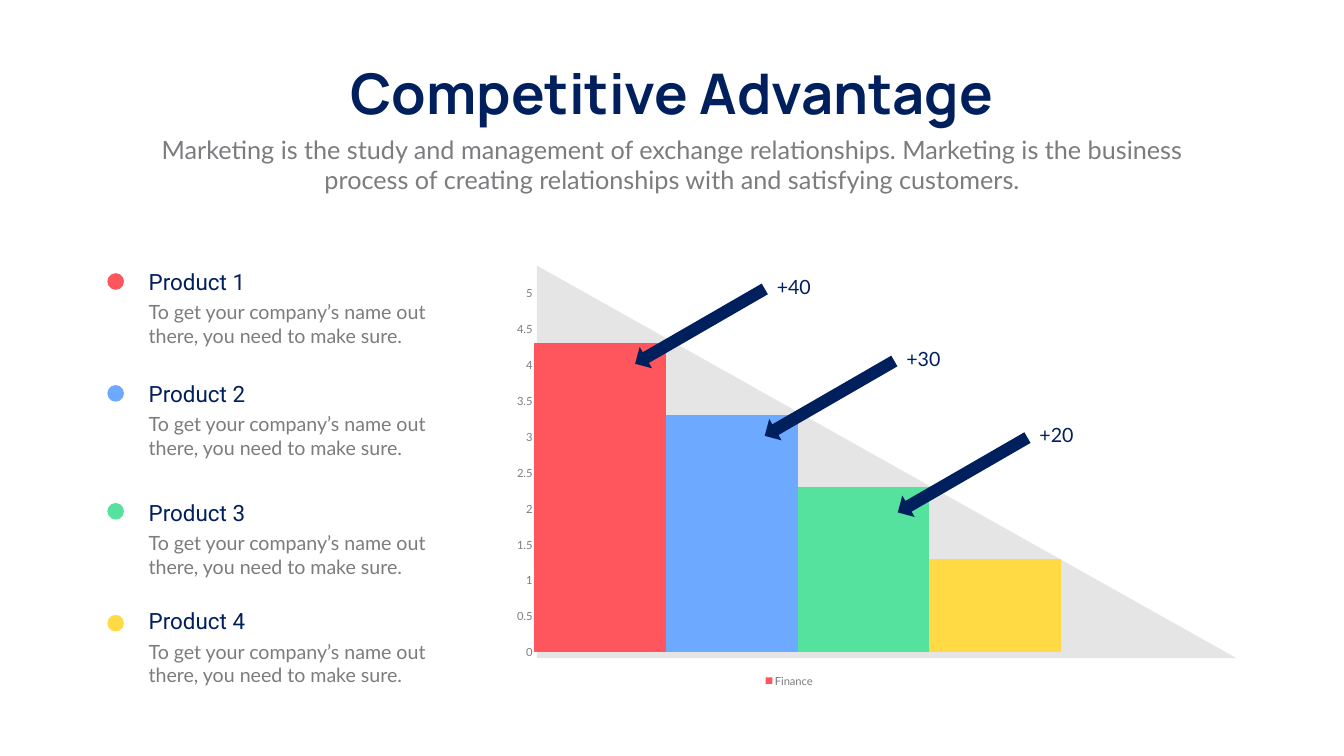
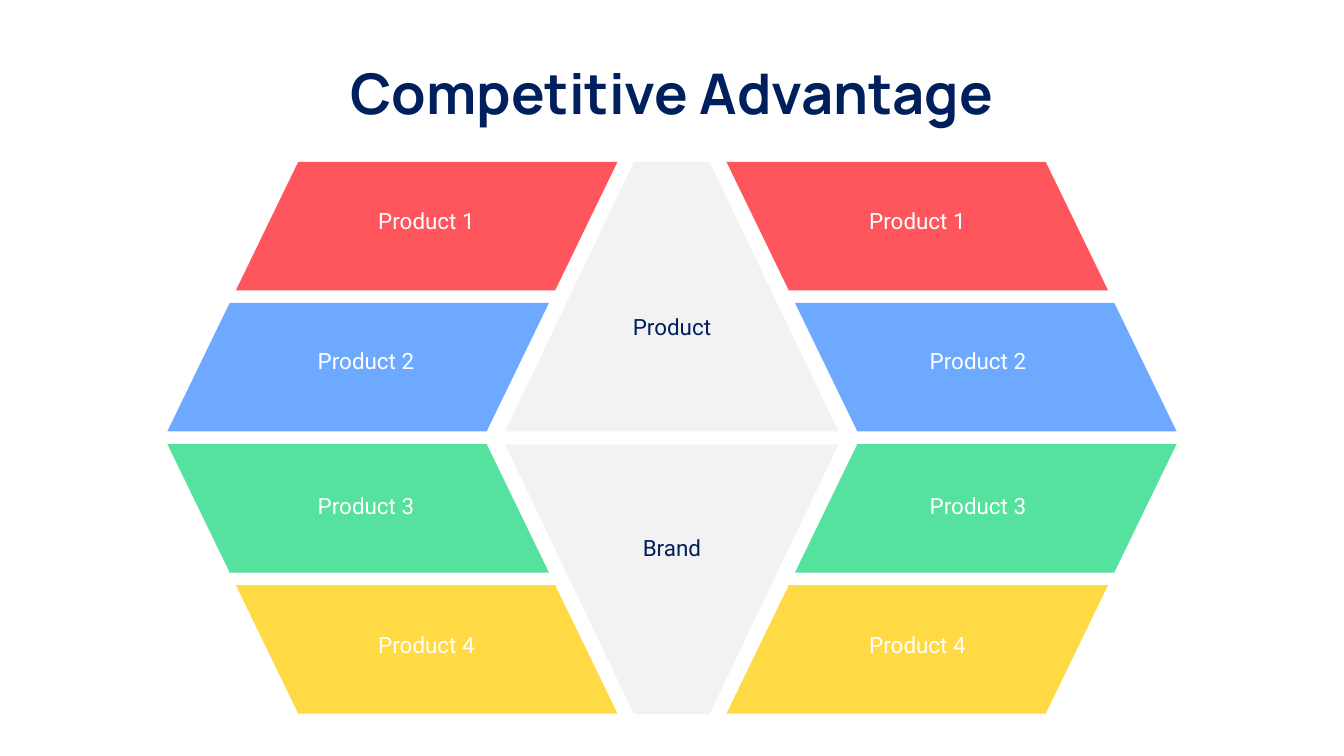
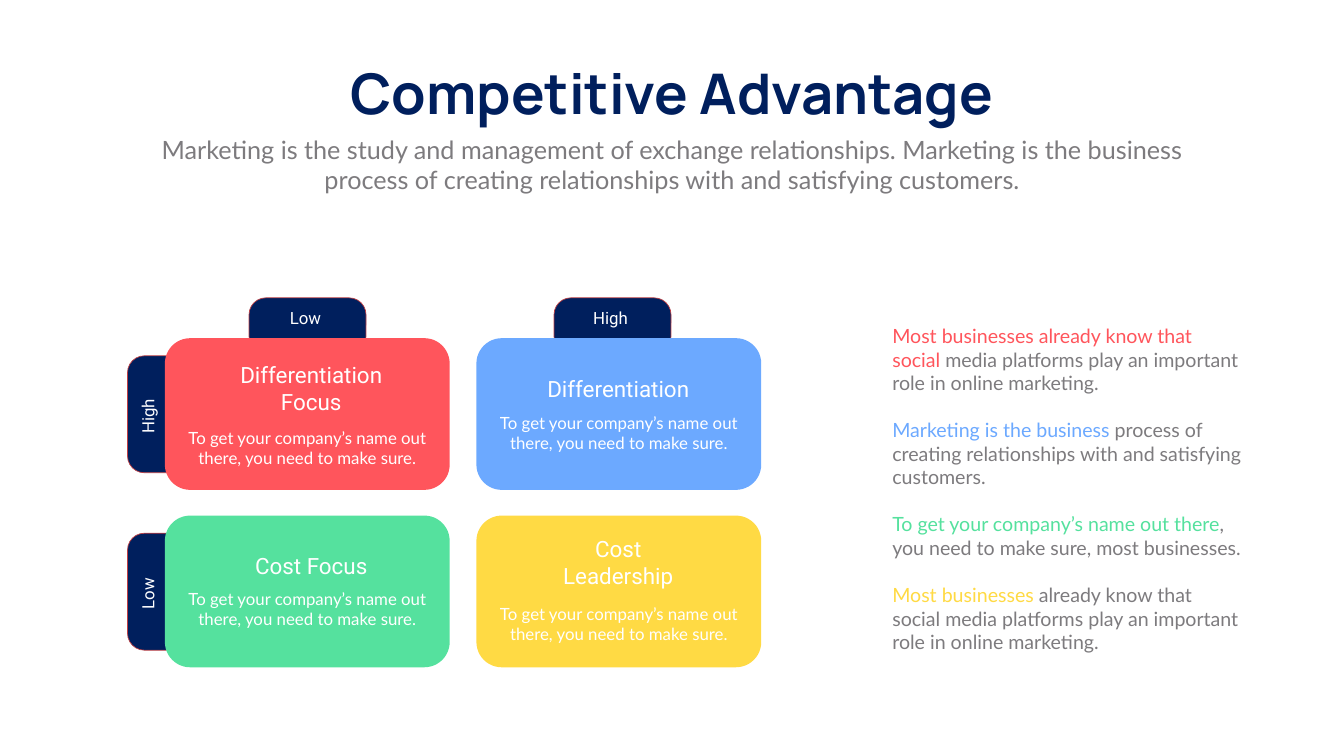
from lxml.etree import SubElement
from pptx import Presentation
from pptx.chart.data import CategoryChartData
from pptx.dml.color import RGBColor
from pptx.enum.chart import XL_CHART_TYPE, XL_LEGEND_POSITION, XL_TICK_MARK
from pptx.enum.shapes import MSO_SHAPE
from pptx.enum.text import MSO_ANCHOR, MSO_AUTO_SIZE, PP_ALIGN
from pptx.oxml import parse_xml
from pptx.oxml.ns import nsdecls, qn
from pptx.util import Inches, Pt

WIDTH, HEIGHT = 26.66, 15
COLORS = {
    "navy": "001F5D", "gray": "7D7B7E", "white": "FFFFFF",
    "red": "FF555C", "blue": "6CA9FF", "green": "55E19E", "yellow": "FFDA44",
    "wedge": "E5E5E5", "panel": "F2F2F2", "outline": "BD3F44",
}
PRODUCT_COLORS = ["red", "blue", "green", "yellow"]
TITLE = "Competitive Advantage"
SUBTITLE = ("Marketing is the study and management of exchange relationships. "
            "Marketing is the business process of creating relationships with "
            "and satisfying customers.")
PITCH = "To get your company’s name out there, you need to make sure."


def color(name):
    return RGBColor.from_string(COLORS[name])


class Deck:
    """Holds the shared style and the slide being built."""

    def __init__(self):
        self.presentation = Presentation()
        self.presentation.slide_width = Inches(WIDTH)
        self.presentation.slide_height = Inches(HEIGHT)
        self.page = None

    def add_page(self, layout=5, subtitle=True):
        layouts = self.presentation.slide_layouts
        self.page = self.presentation.slides.add_slide(layouts[layout])
        title = self.place(self.page.shapes.title, 6.28, 1.12, 14.1, 1.45)
        title.text_frame.word_wrap = False
        self.add_spans(title, [[(TITLE, "navy")]], 80, "Manrope", True, bold=True)
        if subtitle:
            self.text(SUBTITLE, 2.92, 2.61, 20.82, 1.31, 36, "Lato", "gray", True)

    def place(self, box, left, top, width, height):
        box.left, box.top = Inches(left), Inches(top)
        box.width, box.height = Inches(width), Inches(height)
        box.text_frame.word_wrap = True
        return box

    def add_spans(self, box, paragraphs, size, font, centered=False, bold=False, gap=0):
        frame = box.text_frame
        frame.auto_size = MSO_AUTO_SIZE.NONE
        frame.vertical_anchor = MSO_ANCHOR.TOP
        for index, spans in enumerate(paragraphs):
            para = frame.add_paragraph() if index else frame.paragraphs[0]
            para.alignment = PP_ALIGN.CENTER if centered else PP_ALIGN.LEFT
            para.space_before = Pt(gap if index else 0)
            for words, shade in spans:
                span = para.add_run()
                span.text = words
                span.font.size, span.font.name = Pt(size), font
                span.font.bold = bold
                span.font.color.rgb = color(shade)

    def text(self, words, left, top, width, height, size, font, shade,
             centered=False, rotation=0):
        box = self.page.shapes.add_textbox(0, 0, 0, 0)
        self.place(box, left, top, width, height)
        box.rotation = rotation
        self.add_spans(box, [[(words, shade)]], size, font, centered)

    def body_list(self, paragraphs, left, top, width, height, size, gap):
        box = self.place(self.page.placeholders[1], left, top, width, height)
        self.add_spans(box, paragraphs, size, "Lato", gap=gap)
        for para in box.text_frame.paragraphs:
            properties = para._p.get_or_add_pPr()
            properties.set("marL", "0")
            properties.set("indent", "0")
            SubElement(properties, qn("a:buNone"))

    def paint(self, shape, fill, outline=None):
        shape.shadow.inherit = False
        shape.fill.solid()
        shape.fill.fore_color.rgb = color(fill)
        if outline:
            shape.line.color.rgb = color(outline)
            shape.line.width = Pt(1)
        else:
            shape.line.fill.background()

    def shape(self, kind, left, top, width, height, fill, outline=None,
              adjust=None, rotation=0, flip=None):
        shape = self.page.shapes.add_shape(
            kind, Inches(left), Inches(top), Inches(width), Inches(height))
        self.paint(shape, fill, outline)
        shape.rotation = rotation
        if adjust is not None:
            shape.adjustments[0] = adjust
        if flip:
            shape.element.spPr.find(qn("a:xfrm")).set(flip, "1")

    def outline_shape(self, points, fill):
        corners = [(Inches(x), Inches(y)) for x, y in points]
        builder = self.page.shapes.build_freeform(*corners[0])
        builder.add_line_segments(corners[1:], close=True)
        self.paint(builder.convert_to_shape(), fill)

    def column_chart(self, name, values, left, top, width, height, plot):
        data = CategoryChartData()
        data.categories = [str(n) for n in range(1, len(values) + 1)]
        data.add_series(name, values)
        chart = self.page.shapes.add_chart(
            XL_CHART_TYPE.COLUMN_STACKED, Inches(left), Inches(top),
            Inches(width), Inches(height), data).chart
        chart.font.size, chart.font.name = Pt(16), "Lato"
        chart.font.color.rgb = color("gray")
        chart.has_title = False
        chart.has_legend = True
        chart.legend.position = XL_LEGEND_POSITION.BOTTOM
        chart.legend.include_in_layout = False
        # Axes
        chart.category_axis.visible = False
        axis = chart.value_axis
        axis.has_major_gridlines = False
        axis.major_tick_mark = axis.minor_tick_mark = XL_TICK_MARK.NONE
        axis.minimum_scale, axis.maximum_scale, axis.major_unit = 0, 5, 0.5
        axis.format.line.fill.background()
        # Columns
        columns = chart.plots[0]
        columns.gap_width, columns.overlap = 0, 100
        columns.vary_by_categories = False
        series = columns.series[0]
        for index, shade in enumerate(PRODUCT_COLORS):
            fill = series.points[index].format.fill
            fill.solid()
            fill.fore_color.rgb = color(shade)
        series.format.fill.solid()
        series.format.fill.fore_color.rgb = color(PRODUCT_COLORS[0])
        # Inner plot area as fractions of the chart
        area = chart.element.find(".//" + qn("c:plotArea"))
        for old in area.findall(qn("c:layout")):
            area.remove(old)
        sizes = "".join(f'<c:{tag} val="{part}"/>' for tag, part in zip("xywh", plot))
        area.insert(0, parse_xml(
            f'<c:layout {nsdecls("c")}><c:manualLayout><c:layoutTarget val="inner"/>'
            f'<c:xMode val="edge"/><c:yMode val="edge"/>{sizes}'
            '</c:manualLayout></c:layout>'))


def build_chart_page(deck):
    deck.add_page()
    deck.outline_shape([(10.65, 13.06), (10.65, 5.27), (24.53, 13.06)], "wedge")
    deck.column_chart("Finance", [4.3, 3.3, 2.3, 1.3], 10.04, 5.49, 11.23, 8.19,
                      (0.05, 0.04, 0.93, 0.87))
    # Product legend
    rows = zip(PRODUCT_COLORS, [5.27, 7.49, 9.85, 12], [5.42, 7.64, 9.98, 12.2])
    for number, (shade, top, dot_top) in enumerate(rows, 1):
        deck.text(f"Product {number}", 2.85, top, 4.99, 0.64, 32, "Roboto", "navy")
        deck.text(PITCH, 2.85, top + 0.64, 6.24, 1.04, 28, "Lato", "gray")
        deck.shape(MSO_SHAPE.OVAL, 2.13, dot_top, 0.33, 0.33, shade)
    # Gain arrows
    for gain, left, top in [("+40", 12.4, 6.23), ("+30", 14.97, 7.66),
                            ("+20", 17.61, 9.18)]:
        deck.shape(MSO_SHAPE.RIGHT_ARROW, left, top, 2.97, 0.49, "navy",
                   rotation=330, flip="flipH")
        deck.text(gain, left + 2.91, top - 0.83, 1.2, 0.57, 28, "Lato", "navy")


def build_hexagon_page(deck):
    deck.add_page(subtitle=False)
    first_top, pitch = 3.21, 2.8
    band_width, label_width = 7.57, 3.84
    # Center panels
    for name, top, label_top, flip in [("Product", first_top, 6.17, None),
                                       ("Brand", 8.82, 10.54, "flipV")]:
        deck.shape(MSO_SHAPE.TRAPEZOID, 10.02, top, 6.61, 5.35, "panel",
                   adjust=0.478, flip=flip)
        deck.text(name, 11.41, label_top, label_width, 0.83, 32, "Roboto", "navy", True)
    # Product bands, mirrored left to right
    rows = zip(PRODUCT_COLORS, [4.68, 3.32, 3.32, 4.68],
               [6.54, 5.34, 5.34, 6.54], [4.07, 6.83, 9.72, 12.48])
    for row, (shade, left, label_left, label_top) in enumerate(rows):
        for mirrored in (False, True):
            x = WIDTH - left - band_width if mirrored else left
            label_x = WIDTH - label_left - label_width if mirrored else label_left
            flip = "flipH" if mirrored == (row < 2) else None
            deck.shape(MSO_SHAPE.PARALLELOGRAM, x, first_top + row * pitch,
                       band_width, 2.55, shade, adjust=0.485, flip=flip)
            deck.text(f"Product {row + 1}", label_x, label_top, label_width, 0.83,
                      32, "Roboto", "white", True)


def build_matrix_page(deck):
    deck.add_page(layout=1)
    # Axis tabs: columns, then rows
    tabs = [("Low", 5.55, 5.3, 90), ("High", 11.6, 5.3, 90),
            ("High", 2.53, 7.06, 0), ("Low", 2.53, 10.58, 0)]
    for name, left, top, rotation in tabs:
        deck.shape(MSO_SHAPE.ROUNDED_RECTANGLE, left, top, 1.1, 2.32, "navy",
                   "outline", adjust=0.303, rotation=rotation)
        if rotation:
            deck.text(name, left - 0.1, top + 0.76, 1.22, 0.5, 24, "Roboto", "white", True)
        else:
            deck.text(name, left - 0.21, top + 0.95, 1.22, 0.5, 24, "Roboto", "white",
                      True, rotation=270)
    # Strategy cards
    cards = [("Differentiation Focus", "red", 7.11, 1.18, 8.43),
             ("Differentiation", "blue", 7.4, 0.64, 8.13),
             ("Cost Focus", "green", 10.91, 0.64, 11.63),
             ("Cost Leadership", "yellow", 10.57, 1.18, 11.93)]
    for index, (name, shade, name_top, name_height, pitch_top) in enumerate(cards):
        row, column = divmod(index, 2)
        left, top = 3.27 + 6.18 * column, 6.71 + 3.52 * row
        deck.shape(MSO_SHAPE.ROUNDED_RECTANGLE, left, top, 5.65, 3.01, shade)
        deck.text(name, (4.56, 10.65)[column], name_top, 3.23, name_height,
                  32, "Roboto", "white", True)
        deck.text(PITCH, left + 0.26, pitch_top, 5.13, 0.91, 24, "Lato", "white", True)
    # Takeaways with a colored lead
    takeaways = [
        ("Most businesses already know that social ",
         "media platforms play an important role in online marketing."),
        ("Marketing is the business ",
         "process of creating relationships with and satisfying customers."),
        ("To get your company’s name out there",
         ", you need to make sure, most businesses."),
        ("Most businesses ",
         "already know that social media platforms play an important role in "
         "online marketing."),
    ]
    paragraphs = [[(lead, shade), (rest, "gray")]
                  for shade, (lead, rest) in zip(PRODUCT_COLORS, takeaways)]
    deck.body_list(paragraphs, 17.6, 6.38, 7.13, 6.7, 28, gap=33.6)


def main():
    deck = Deck()
    build_chart_page(deck)
    build_hexagon_page(deck)
    build_matrix_page(deck)
    deck.presentation.save("out.pptx")


if __name__ == "__main__":
    main()
